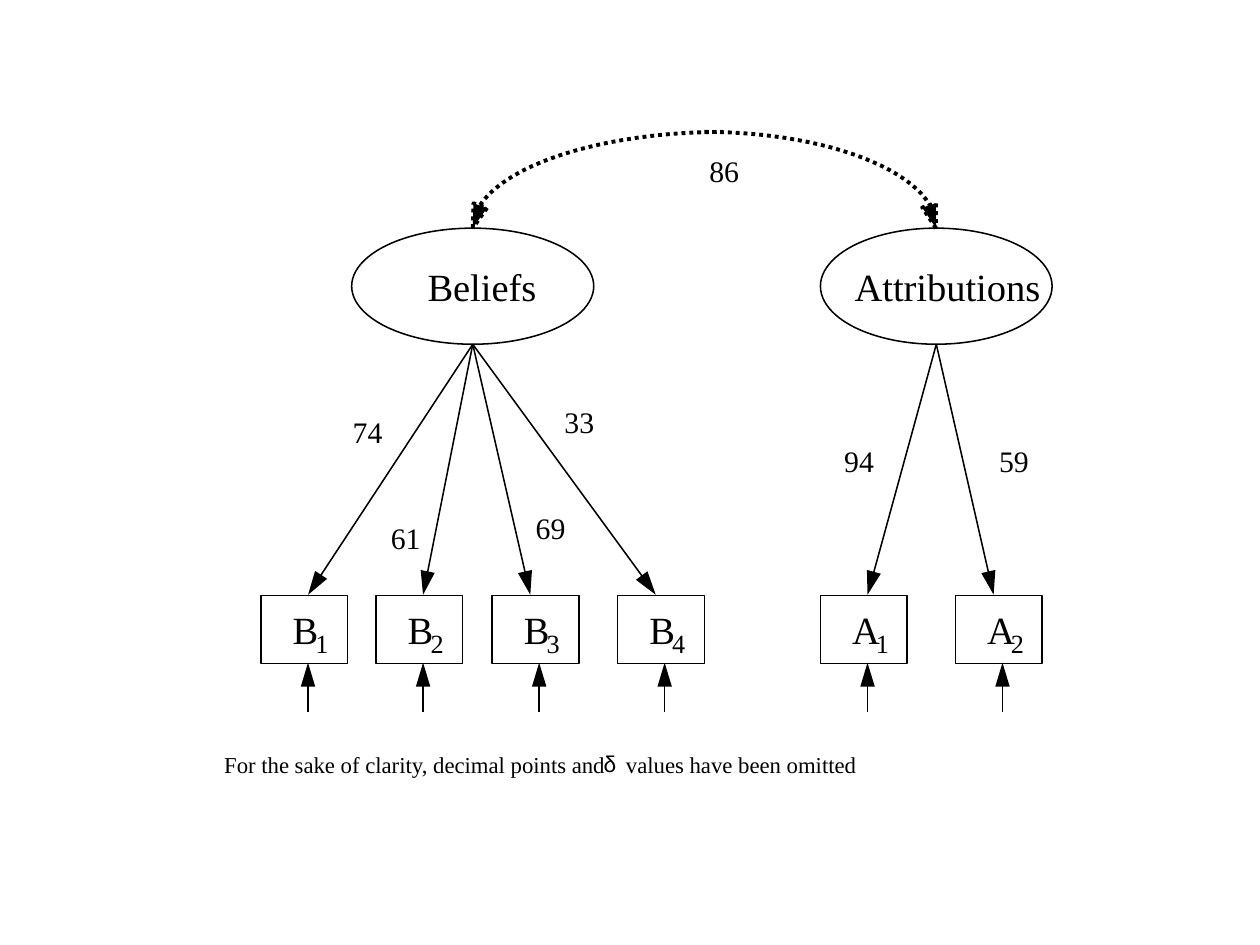
from math import hypot

from lxml import etree
from pptx import Presentation
from pptx.dml.color import RGBColor
from pptx.enum.dml import MSO_LINE
from pptx.enum.shapes import MSO_CONNECTOR, MSO_SHAPE as SHAPE
from pptx.enum.text import MSO_AUTO_SIZE
from pptx.oxml.ns import qn
from pptx.util import Cm, Pt

COLORS = {"ink": "000000", "paper": "FFFFFF"}
THIN, THICK = 0.88, 2.25
HEAD_LENGTH, HEAD_HALF_WIDTH = 0.48, 0.145
BOX_TOP, BOX_W, BOX_H = 12.01, 1.75, 1.37


def color(name):
    return RGBColor.from_string(COLORS[name])


def style(sp, fill=None, line="ink", width=THIN, dotted=False):
    sp.shadow.inherit = False
    if fill:
        sp.fill.solid()
        sp.fill.fore_color.rgb = color(fill)
    else:
        sp.fill.background()
    if line:
        sp.line.color.rgb = color(line)
        sp.line.width = Pt(width)
        if dotted:
            sp.line.dash_style = MSO_LINE.ROUND_DOT
    else:
        sp.line.fill.background()


def add_preset(s, kind, x, y, w, h, **look):
    sp = s.shapes.add_shape(kind, Cm(x), Cm(y), Cm(w), Cm(h))
    style(sp, **look)


def add_text(s, text, x, y, w, h, size, font="Times New Roman"):
    tf = s.shapes.add_textbox(Cm(x), Cm(y), Cm(w), Cm(h)).text_frame
    tf.margin_left = tf.margin_top = tf.margin_right = tf.margin_bottom = 0
    tf.word_wrap = False
    tf.auto_size = MSO_AUTO_SIZE.SHAPE_TO_FIT_TEXT
    p = tf.paragraphs[0]
    p.text = text
    p.font.size = Pt(size)
    p.font.name = font
    p.font.color.rgb = color("ink")


def add_outline(s, points, close, **look):
    (x, y), *rest = [(Cm(px), Cm(py)) for px, py in points]
    builder = s.shapes.build_freeform(x, y)
    builder.add_line_segments(rest, close=close)
    style(builder.convert_to_shape(), **look)


def add_head(s, start, tip, **look):
    """Triangle at tip, pointing away from start."""
    (x0, y0), (x, y) = start, tip
    length = hypot(x - x0, y - y0)
    ux, uy = (x - x0) / length, (y - y0) / length
    bx, by = x - HEAD_LENGTH * ux, y - HEAD_LENGTH * uy
    wx, wy = -HEAD_HALF_WIDTH * uy, HEAD_HALF_WIDTH * ux
    corners = [tip, (bx + wx, by + wy), (bx - wx, by - wy)]
    add_outline(s, corners, True, fill="ink", **look)


def add_arrow(s, start, tip):
    """Line that stops inside its arrowhead."""
    (x0, y0), (x, y) = start, tip
    part = 1 - HEAD_LENGTH / 2 / hypot(x - x0, y - y0)
    line = s.shapes.add_connector(
        MSO_CONNECTOR.STRAIGHT, Cm(x0), Cm(y0),
        Cm(x0 + part * (x - x0)), Cm(y0 + part * (y - y0)))
    line.line.color.rgb = color("ink")
    line.line.width = Pt(THIN)
    etree.SubElement(line._element.spPr, qn("a:effectLst"))
    add_head(s, start, tip, line=None)


def add_factor(s, name, box, text_x, text_w, fill=None):
    x, y, w, h = box
    add_preset(s, SHAPE.OVAL, x, y, w, h, fill=fill)
    add_text(s, name, x + text_x, y + 0.71, text_w, 0.94, 22)


def add_indicator(s, letter, number, x, letter_w, number_x):
    """Observed variable with the error arrow below it."""
    add_preset(s, SHAPE.RECTANGLE, x, BOX_TOP, BOX_W, BOX_H, fill="paper")
    add_text(s, letter, x + 0.64, BOX_TOP + 0.2, letter_w, 0.94, 22)
    add_text(s, number, x + number_x, BOX_TOP + 0.64, 0.28, 0.64, 15)
    bottom = BOX_TOP + BOX_H
    add_arrow(s, (x + 0.95, bottom + 0.97), (x + 0.95, bottom - 0.02))


def add_measurement(s, box, letter, letter_w, number_x, indicators):
    """Indicators of one factor and the loadings that lead to them."""
    x, y, w, h = box
    for number, (left, tip_x) in enumerate(indicators, 1):
        add_indicator(s, letter, str(number), left, letter_w, number_x)
        add_arrow(s, (x + w / 2, y + h), (left + tip_x, BOX_TOP - 0.02))


def bezier(a, b, c, d, steps=24):
    def at(t, i):
        u = 1 - t
        return (u**3 * a[i] + 3 * u * u * t * b[i]
                + 3 * u * t * t * c[i] + t**3 * d[i])
    return [(at(k / steps, 0), at(k / steps, 1)) for k in range(steps + 1)]


def add_correlation(s, left, right):
    """Dotted arc between the tops of the two factors."""
    dotted = {"width": THICK, "dotted": True}
    top = 2.66
    (lx, ly), (rx, ry) = left, right
    halves = [
        [(lx + 0.07, ly - 0.33), (10.06, 3.33), (12.14, top), (14.58, top)],
        [(14.2, top), (16.46, top), (18.39, 3.33), (rx - 0.07, ry - 0.36)],
    ]
    for controls in halves:
        add_outline(s, bezier(*controls), False, **dotted)
    add_head(s, (lx + 0.15, ly - 0.45), left, **dotted)
    add_head(s, (rx - 0.14, ry - 0.46), right, **dotted)


def add_note(s, x, y, w, h):
    add_preset(s, SHAPE.RECTANGLE, x, y, w, h, fill="paper", line="paper")
    add_text(s, "For the sake of clarity, decimal points and",
             x + 1.22, y + 0.41, 7.8, 0.56, 13)
    add_text(s, "δ", x + 8.87, y + 0.38, 0.41, 0.56, 13, "Arial")
    add_text(s, "values have been omitted", x + 9.32, y + 0.41, 4.65, 0.56, 13)


def main():
    prs = Presentation()
    prs.slide_width, prs.slide_height = Cm(25.4), Cm(19.05)
    s = prs.slides.add_slide(prs.slide_layouts[6])

    # Latent factors
    beliefs = (7.09, 4.6, 4.88, 2.34)
    attributions = (16.54, 4.6, 4.67, 2.34)
    add_factor(s, "Beliefs", beliefs, 1.53, 2.3)
    add_factor(s, "Attributions", attributions, 0.69, 3.8, fill="paper")

    # Indicators: left edge of the box, arrow tip within it
    add_measurement(s, beliefs, "B", 0.53, 1.1, [
        (5.26, 0.95), (7.58, 0.95), (9.92, 0.77), (12.45, 0.77)])
    add_measurement(s, attributions, "A", 0.58, 1.12, [
        (16.54, 0.95), (19.26, 0.77)])

    add_correlation(s, (9.53, 4.6), (18.87, 4.6))

    # Coefficients
    for value, x, y in [
        ("86", 14.3, 3.07), ("59", 20.14, 8.92), ("94", 17.02, 8.92),
        ("33", 11.38, 8.13), ("69", 10.8, 10.28), ("61", 7.88, 10.48),
        ("74", 7.11, 8.34),
    ]:
        add_text(s, value, x, y, 0.63, 0.71, 17)

    add_note(s, 3.3, 14.73, 14.99, 1.37)
    prs.save("out.pptx")


if __name__ == "__main__":
    main()
